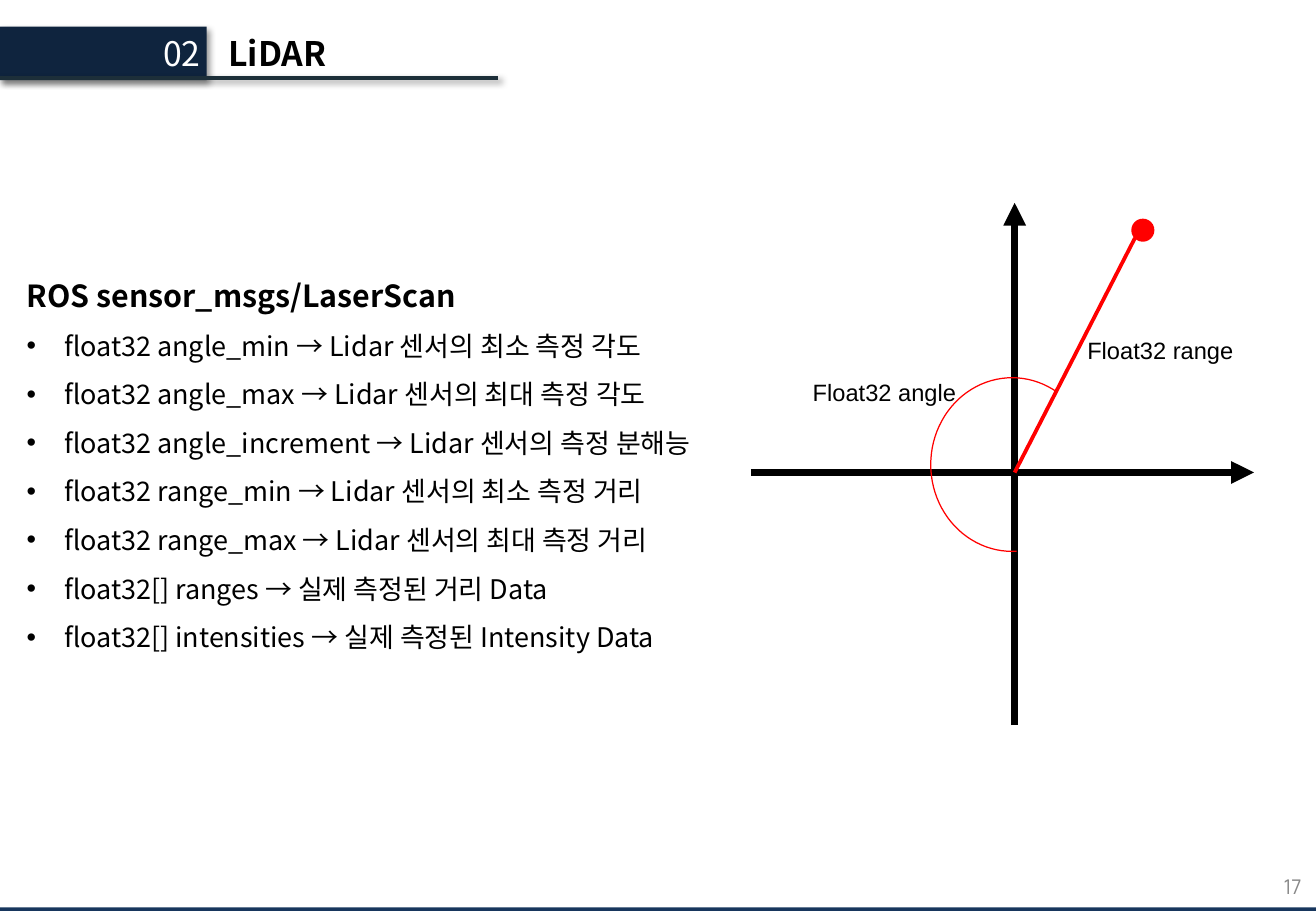
from lxml.etree import SubElement
from pptx import Presentation
from pptx.dml.color import RGBColor
from pptx.enum.shapes import MSO_CONNECTOR, MSO_SHAPE
from pptx.enum.text import MSO_ANCHOR, PP_ALIGN
from pptx.oxml.ns import qn
from pptx.util import Emu, Pt

SCALE = 9144  # EMU in one px, 100 px to the inch
COLORS = {
    "footer": "17365D", "page": "888888", "tab": "0F243E", "rule": "1D2F39",
    "white": "FFFFFF", "black": "000000", "red": "FF0000",
}
NOTO = "Noto Sans CJK KR"
FIELDS = [
    "float32 angle_min → Lidar 센서의 최소 측정 각도",
    "float32 angle_max → Lidar 센서의 최대 측정 각도",
    "float32 angle_increment → Lidar 센서의 측정 분해능",
    "float32 range_min → Lidar 센서의 최소 측정 거리",
    "float32 range_max → Lidar 센서의 최대 측정 거리",
    "float32[] ranges → 실제 측정된 거리 Data",
    "float32[] intensities → 실제 측정된 Intensity Data",
]


def px(value):
    return Emu(value * SCALE)


def rgb(name):
    return RGBColor.from_string(COLORS[name])


def set_shadow(shape, visible):
    properties = shape.element.spPr
    for old in properties.findall(qn("a:effectLst")):
        properties.remove(old)
    effects = SubElement(properties, qn("a:effectLst"))
    if visible:
        shadow = SubElement(effects, qn("a:outerShdw"), blurRad="50800",
                            dist="38100", dir="2700000", algn="tl", rotWithShape="0")
        color = SubElement(shadow, qn("a:srgbClr"), val=COLORS["black"])
        SubElement(color, qn("a:alpha"), val="40000")


def add_filled(slide, kind, left, top, width, height, color, shadow=False):
    shape = slide.shapes.add_shape(kind, px(left), px(top), px(width), px(height))
    shape.fill.solid()
    shape.fill.fore_color.rgb = rgb(color)
    shape.line.fill.background()
    set_shadow(shape, shadow)
    return shape


def add_line(slide, start, end, color, weight, arrow=False, shadow=False):
    line = slide.shapes.add_connector(MSO_CONNECTOR.STRAIGHT, *map(px, start + end))
    line.line.color.rgb = rgb(color)
    line.line.width = Pt(weight)
    if arrow:
        SubElement(line.line._get_or_add_ln(), qn("a:tailEnd"), type="triangle")
    set_shadow(line, shadow)


def add_run(paragraph, text, size, color="black", font=NOTO, bold=False):
    run = paragraph.add_run()
    run.text = text
    run.font.size = Pt(size)
    run.font.bold = bold
    run.font.color.rgb = rgb(color)
    run.font.name = font
    SubElement(run.font._element, qn("a:ea"), typeface=font)


def add_frame(slide, left, top, width, height):
    box = slide.shapes.add_textbox(px(left), px(top), px(width), px(height))
    box.text_frame.word_wrap = True
    return box.text_frame


def add_label(slide, left, top, width, height, text, size, align=PP_ALIGN.LEFT, **style):
    frame = add_frame(slide, left, top, width, height)
    frame.paragraphs[0].alignment = align
    add_run(frame.paragraphs[0], text, size, **style)
    return frame


def add_footer(slide, left, top, width):
    add_filled(slide, MSO_SHAPE.RECTANGLE, left, top, width, 9, "footer")
    frame = add_label(slide, left + 838, top - 37, 253, 40, "17", 12, PP_ALIGN.RIGHT,
                      color="page", font="Manrope")
    frame.vertical_anchor = MSO_ANCHOR.MIDDLE


def add_header(slide, left, top, width, height):
    # Numbered tab
    add_filled(slide, MSO_SHAPE.RECTANGLE, left, top, 171, height, "tab", shadow=True)
    add_label(slide, left + 119, top, 57, height, "02", 20, PP_ALIGN.RIGHT, color="white")
    # Underline and title
    rule = top + height - 2
    add_line(slide, (left, rule), (left + width, rule), "rule", 2.25, shadow=True)
    add_label(slide, left + 179, top, 339, height, "LiDAR", 20, bold=True)


def add_message_fields(slide, left, top, width, height):
    frame = add_frame(slide, left, top, width, height)
    heading = frame.paragraphs[0]
    heading.line_spacing = 1.5
    add_run(heading, "ROS sensor_msgs/LaserScan", 18, bold=True)
    for field in FIELDS:
        paragraph = frame.add_paragraph()
        paragraph.line_spacing = 1.5
        properties = paragraph._p.get_or_add_pPr()
        properties.set("marL", str(px(31)))
        properties.set("indent", str(px(-31)))
        bullet_color = SubElement(properties, qn("a:buClr"))
        SubElement(bullet_color, qn("a:srgbClr"), val=COLORS["black"])
        SubElement(properties, qn("a:buFont"), typeface="Arial")
        SubElement(properties, qn("a:buChar"), char="•")
        add_run(paragraph, field, 16)


def add_scan_diagram(slide, left, top, width, height):
    origin_x, origin_y = left + 217, top + 222
    # Axes
    add_line(slide, (left, origin_y), (left + width, origin_y), "black", 4.5, arrow=True)
    add_line(slide, (origin_x, top + height), (origin_x, top), "black", 4.5, arrow=True)
    # Measured point and its range
    add_filled(slide, MSO_SHAPE.OVAL, origin_x + 96, origin_y - 209, 19, 19, "red")
    add_line(slide, (origin_x, origin_y), (origin_x + 99, origin_y - 193), "red", 2.25)
    # Angle arc
    arc = slide.shapes.add_shape(MSO_SHAPE.ARC, px(origin_x - 69), px(origin_y - 78),
                                 px(134), px(143))
    arc.adjustments[0], arc.adjustments[1] = 143.36, 55.77
    arc.element.spPr.get_or_add_xfrm().set("flipH", "1")
    arc.fill.background()
    arc.line.color.rgb = rgb("red")
    arc.line.width = Pt(0.75)
    set_shadow(arc, False)
    # Labels
    for text, x, y in (("Float32 angle", -176, -83), ("Float32 range", 50, -117)):
        add_label(slide, origin_x + x, origin_y + y, 160, 34, text, 14, font="Arial")


def main():
    presentation = Presentation()
    presentation.slide_width, presentation.slide_height = px(1083), px(750)
    slide = presentation.slides.add_slide(presentation.slide_layouts[6])
    add_footer(slide, -10, 747, 1103)
    add_header(slide, -1, 22, 411, 44)
    add_message_fields(slide, 12, 208, 705, 333)
    add_scan_diagram(slide, 618, 167, 414, 430)
    presentation.save("out.pptx")


if __name__ == "__main__":
    main()
